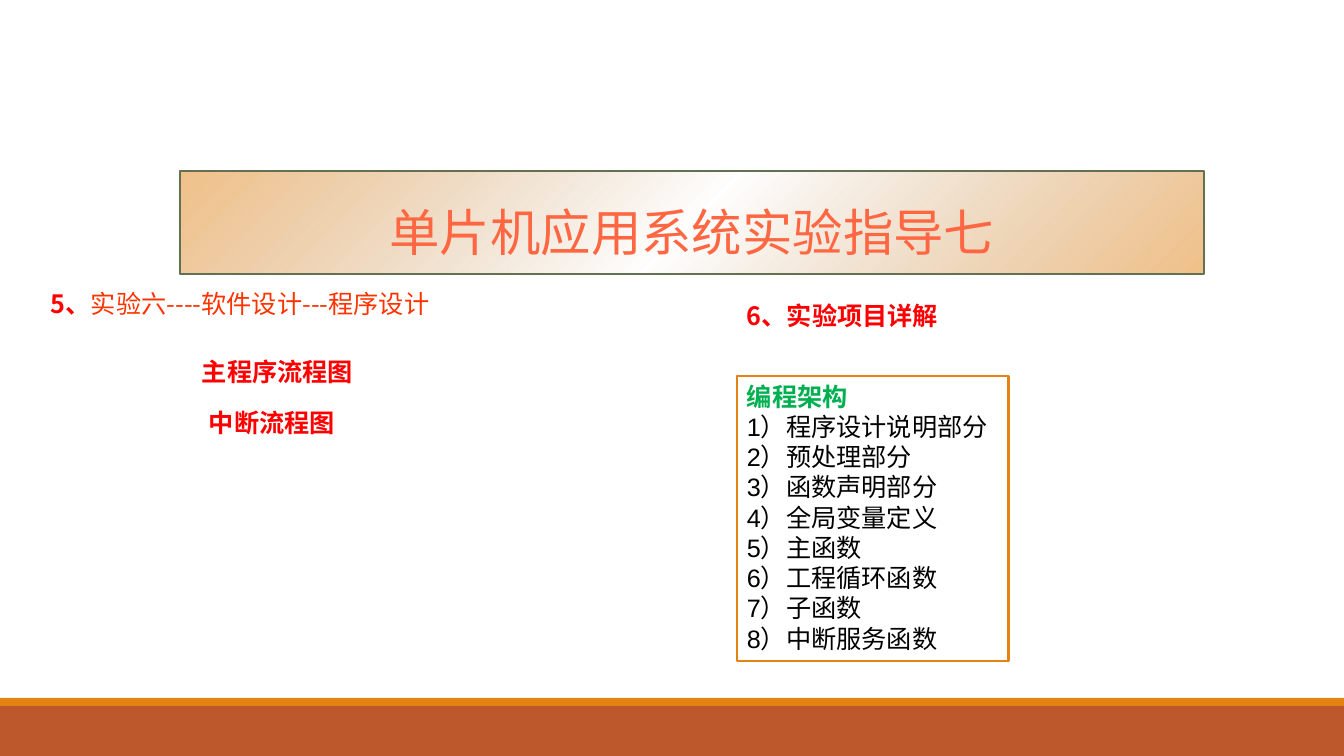
"""Build the slide on experiment guide seven for microcontroller systems."""
from pptx import Presentation, oxml, util as u
from pptx.dml.color import RGBColor
from pptx.enum import shapes, text

RED = RGBColor(0xFF, 0x00, 0x00)
SCARLET = RGBColor(0xFF, 0x33, 0x00)
CORAL = RGBColor(0xFF, 0x67, 0x43)
GREEN = RGBColor(0x00, 0xB0, 0x50)
BLACK = RGBColor(0x00, 0x00, 0x00)
ORANGE = RGBColor(0xE4, 0x83, 0x12)
BROWN = RGBColor(0xA3, 0x5E, 0x0D)
RUST = RGBColor(0xBD, 0x58, 0x2C)
OLIVE = RGBColor(0x63, 0x70, 0x52)
CJK = "Noto Sans CJK SC"


def px(*lengths):
    return [u.Emu(round(length * 914400 / 100.8)) for length in lengths]


def set_font(font, name, size, color, bold):
    font.name, font.size, font.bold = name, u.Pt(size), bold
    font.color.rgb = color


deck = Presentation()
deck.slide_width, deck.slide_height = px(1344, 756)
page = deck.slides.add_slide(deck.slide_layouts[5])

for top, height, color in [(706, 50, RUST), (698, 8, ORANGE)]:
    band = page.shapes.add_shape(shapes.MSO_SHAPE.RECTANGLE, *px(0, top, 1344, height))
    band.shadow.inherit = False
    band.fill.solid()
    band.fill.fore_color.rgb = color
    band.line.fill.background()

title = page.shapes.title
title.left, title.top, title.width, title.height = px(180, 171, 1024, 103)
stops = "".join(
    f'<a:gs pos="{pos}"><a:srgbClr val="{color}"><a:alpha val="{alpha}"/></a:srgbClr></a:gs>'
    for pos, color, alpha in [(0, ORANGE, 50000), (50000, BROWN, 0), (100000, ORANGE, 50000)]
)
gradient = oxml.parse_xml(
    '<a:gradFill xmlns:a="http://schemas.openxmlformats.org/drawingml/2006/main" rotWithShape="1">'
    f'<a:gsLst>{stops}</a:gsLst><a:lin ang="2700000" scaled="0"/></a:gradFill>'
)
title.fill.background()
no_fill = title.fill._xPr.find(oxml.ns.qn("a:noFill"))
no_fill.getparent().replace(no_fill, gradient)
title.line.color.rgb = OLIVE
title.line.width = u.Pt(1)
title.text_frame.text = "单片机应用系统实验指导七"
title.text_frame.auto_size = text.MSO_AUTO_SIZE.NONE
title.text_frame.vertical_anchor = text.MSO_ANCHOR.MIDDLE
para = title.text_frame.paragraphs[0]
para.alignment = text.PP_ALIGN.CENTER
para.line_spacing = 1.3
set_font(para.font, "Arial Narrow", 36, CORAL, False)

headings = [
    (41, 283, 548, [("5、", RED, True), ("实验六----软件设计---程序设计", SCARLET, False)]),
    (192, 351, 201, [("主程序流程图", RED, True)]),
    (199, 402, 201, [("中断流程图", RED, True)]),
    (737, 295, 238, [("6、实验项目详解", RED, True)]),
]
for left, top, width, spans in headings:
    box = page.shapes.add_textbox(*px(left, top, width, 40))
    box.text_frame.word_wrap = True
    para = box.text_frame.paragraphs[0]
    for words, color, bold in spans:
        span = para.add_run()
        span.text = words
        set_font(span.font, CJK, 18, color, bold)

parts = ["程序设计说明部分", "预处理部分", "函数声明部分", "全局变量定义",
         "主函数", "工程循环函数", "子函数", "中断服务函数"]
outline = page.shapes.add_textbox(*px(737, 376, 272, 285))
outline.line.color.rgb = ORANGE
outline.line.width = u.Pt(2)
outline.text_frame.word_wrap = True
outline.text_frame.text = "\n".join(
    ["编程架构"] + [f"{number}）{part}" for number, part in enumerate(parts, 1)]
)
for index, para in enumerate(outline.text_frame.paragraphs):
    heading = index == 0
    set_font(para.font, "Arial", 18, GREEN if heading else BLACK, heading)

deck.save("out.pptx")
